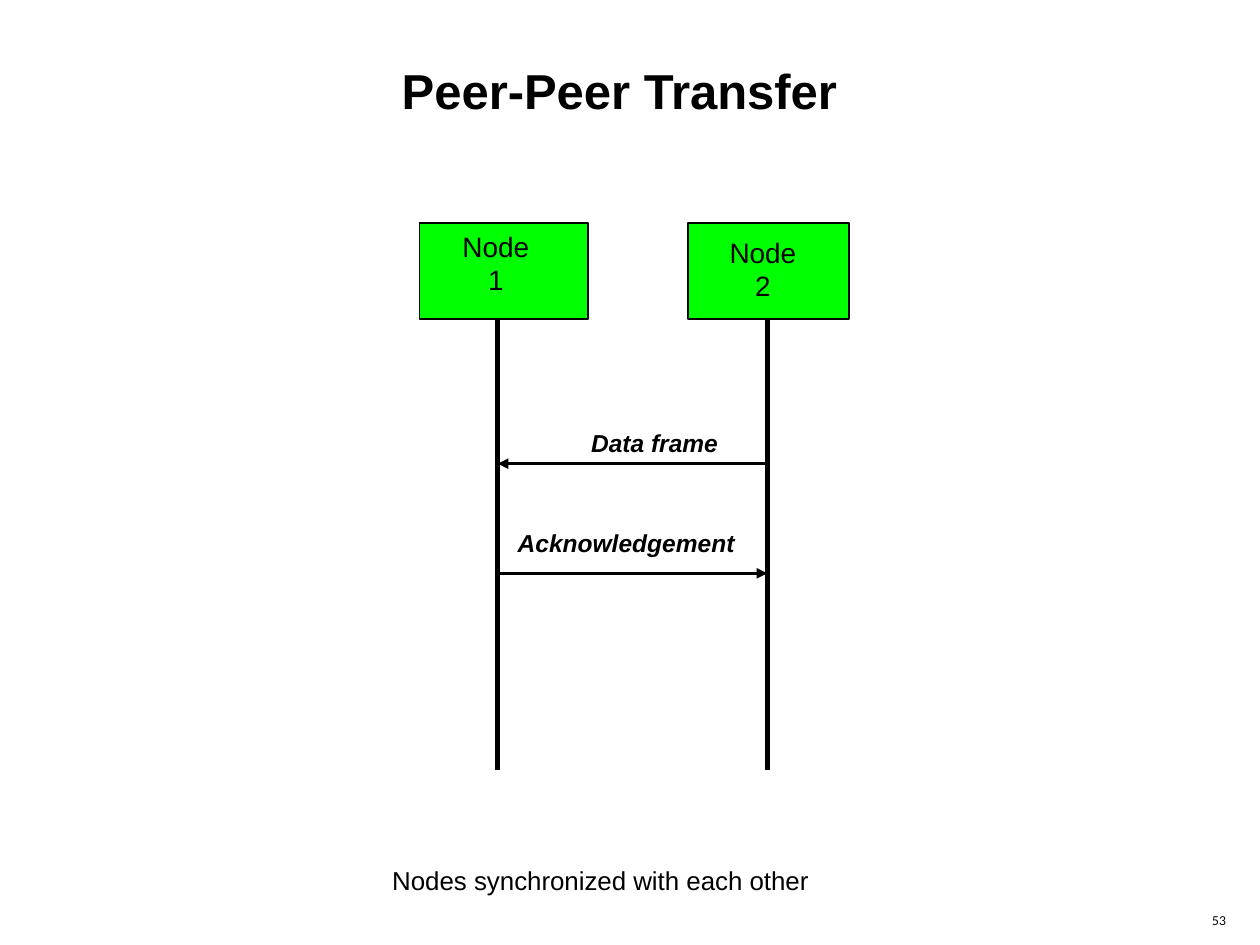
import pptx
import pptx.util
import pptx.dml.color
import pptx.enum.shapes
import pptx.enum.text
import pptx.oxml.ns
import lxml.etree

COLORS = {"ink": "000000", "node": "00FF00"}
INK, GREEN = (pptx.dml.color.RGBColor.from_string(c) for c in COLORS.values())

deck = pptx.Presentation()
deck.slide_width = pptx.util.Inches(10)
deck.slide_height = pptx.util.Inches(7.5)
slide = deck.slides.add_slide(deck.slide_layouts[5])
parts = slide.shapes


def write(box, text, size, wrap=False, **form):
    """Fill a text box with one centred line."""
    frame = box.text_frame
    frame.word_wrap = wrap
    frame.vertical_anchor = pptx.enum.text.MSO_ANCHOR.MIDDLE
    line = frame.paragraphs[0]
    line.text = text
    line.alignment = pptx.enum.text.PP_ALIGN.CENTER
    font = line.runs[0].font
    look = {"name": "Arial", "size": pptx.util.Pt(size), "bold": False} | form
    for key, val in look.items():
        setattr(font, key, val)
    font.color.rgb = INK
    return frame


def draw(x1, y1, x2, y2, width, arrow=False):
    """Draw a straight line, with an arrowhead at its end if asked."""
    ends = [pptx.util.Inches(n) for n in (x1, y1, x2, y2)]
    line = parts.add_connector(pptx.enum.shapes.MSO_CONNECTOR.STRAIGHT, *ends)
    line.line.color.rgb = INK
    line.line.width = pptx.util.Pt(width)
    props = line._element.spPr
    if arrow:
        tip = lxml.etree.SubElement(line.line._get_or_add_ln(), pptx.oxml.ns.qn("a:tailEnd"))
        tip.set("type", "triangle")
    lxml.etree.SubElement(props, pptx.oxml.ns.qn("a:effectLst"))


# Title
title = parts.title
place = {"left": 0.9, "top": 0.21, "width": 8.03, "height": 1.01}
for key, val in place.items():
    setattr(title, key, pptx.util.Inches(val))
write(title, "Peer-Peer Transfer", 28, wrap=True, bold=True)

# Nodes with their time lines
TOP, HIGH, END = 1.77, 0.76, 6.11
LEFT, RIGHT = 3.95, 6.09
nodes = [(3.33, 1.34, LEFT), (5.46, 1.28, RIGHT)]
for x, wide, axis in nodes:
    area = [pptx.util.Inches(n) for n in (x, TOP, wide, HIGH)]
    node = parts.add_shape(pptx.enum.shapes.MSO_SHAPE.RECTANGLE, *area)
    node.shadow.inherit = False
    node.fill.solid()
    node.fill.fore_color.rgb = GREEN
    node.line.color.rgb = INK
    node.line.width = pptx.util.Pt(1)
    draw(axis, TOP + HIGH, axis, END, 3)

# Messages between the nodes
draw(RIGHT, 3.68, LEFT, 3.68, 2, arrow=True)
draw(LEFT, 4.55, RIGHT, 4.55, 2, arrow=True)

# Labels, caption and page number
strong = {"bold": True, "italic": True}
labels = [
    ("Node 1", 3.48, 1.9, 0.91, 0.37, 16, {}),
    ("Node 2", 5.6, 1.95, 0.91, 0.37, 16, {}),
    ("Data frame", 4.59, 3.34, 1.21, 0.34, 14, strong),
    ("Acknowledgement", 4.01, 4.14, 1.92, 0.34, 14, strong),
    ("53", 9.45, 7.14, 0.45, 0.33, 7, {"name": "Lato", "wrap": True}),
]
for text, x, y, wide, high, size, form in labels:
    area = [pptx.util.Inches(n) for n in (x, y, wide, high)]
    write(parts.add_textbox(*area), text, size, **form)

area = [pptx.util.Inches(n) for n in (2.09, 6.9, 5.35, 0.28)]
frame = write(parts.add_textbox(*area), "Nodes synchronized with each other", 14.8, wrap=True)
frame.vertical_anchor = pptx.enum.text.MSO_ANCHOR.TOP
frame.paragraphs[0].line_spacing = 0.6

deck.save("out.pptx")
